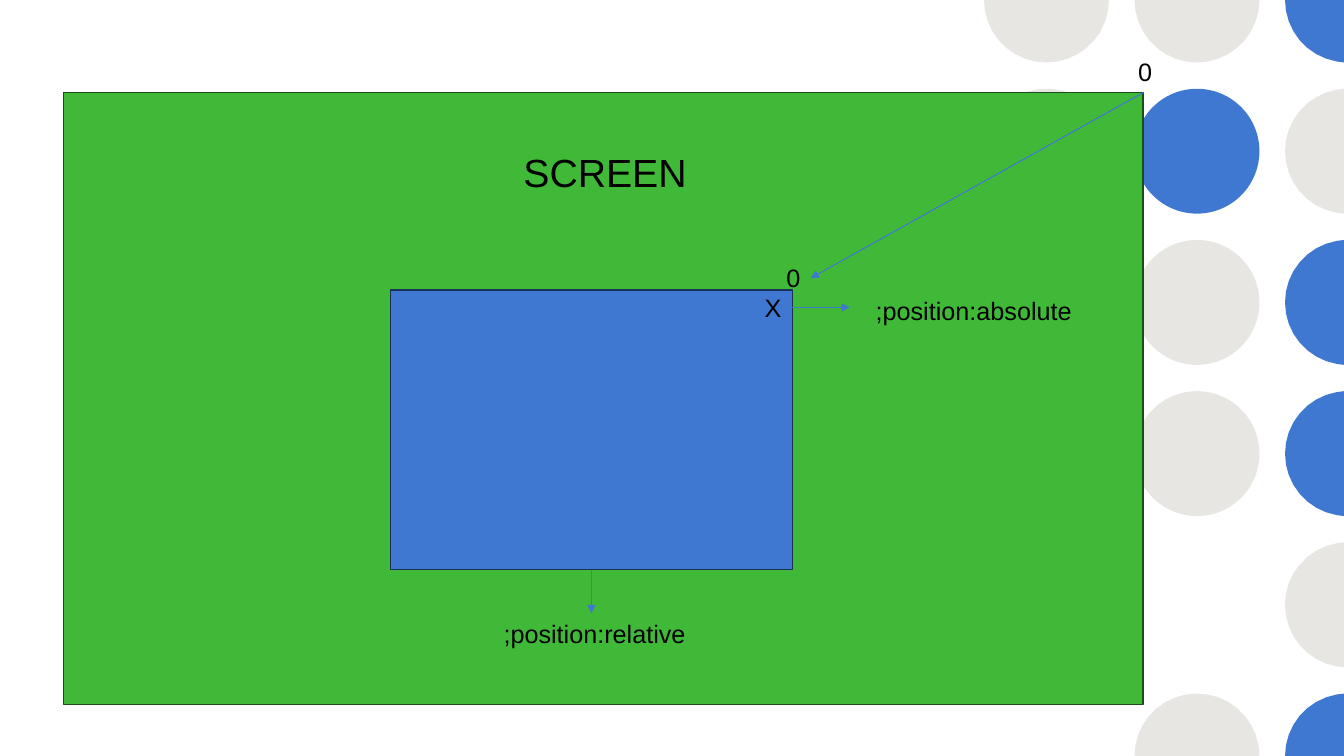
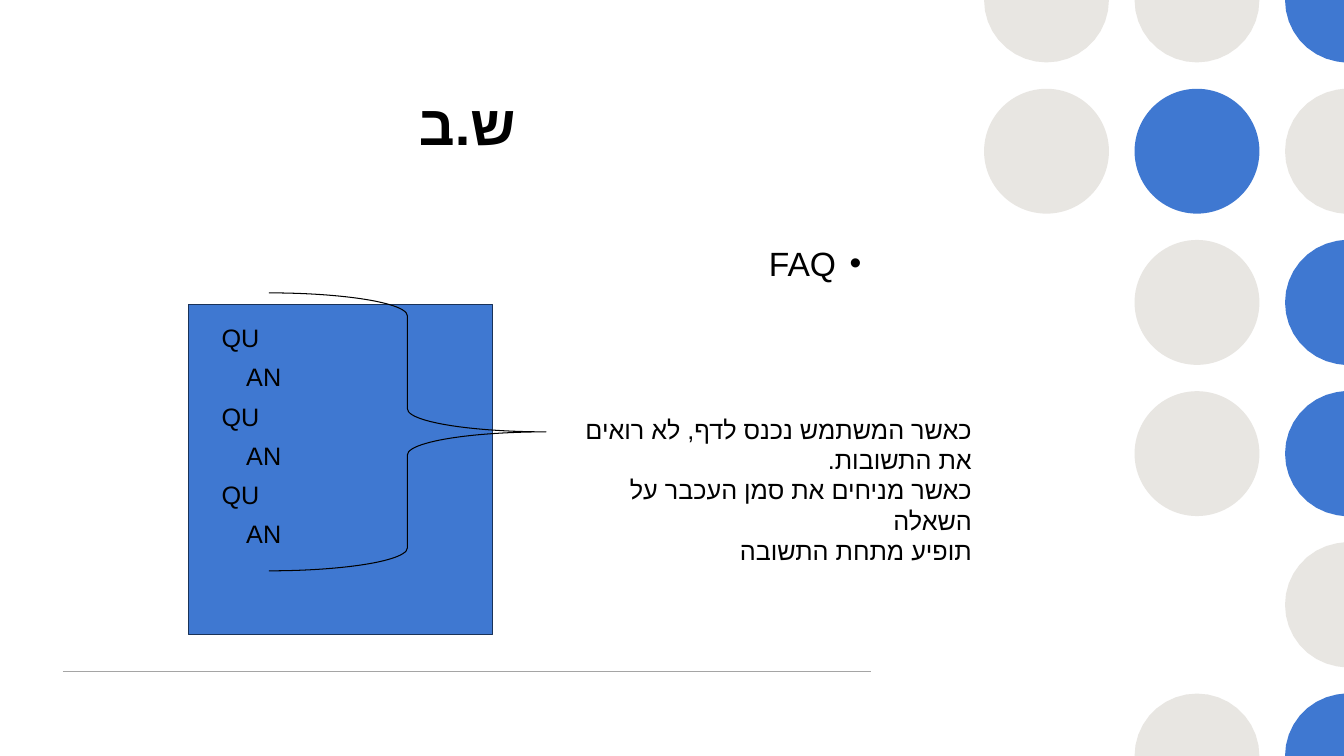
from dataclasses import dataclass
from math import cos, radians, sin

from lxml import etree
from pptx import Presentation
from pptx.dml.color import RGBColor
from pptx.enum import shapes, text
from pptx.oxml import ns
from pptx.util import Pt


@dataclass(frozen=True)
class Theme:
    font: str = "Arial"
    ink: str = "000000"
    blue: str = "3F78D1"
    blue_edge: str = "1A3258"
    green: str = "40B938"
    green_edge: str = "1B4E17"
    dot: str = "E8E6E2"
    rule: str = "A5A5A5"
    title: int = 40
    heading: int = 28
    bullet: int = 24
    label: int = 18


THEME = Theme()
WIDTH, HEIGHT = 960, 540
RADIUS = 44.6
COLUMN_CENTRES = (747.5, 855, 962.5)
ROW_PITCH = 108
# One row of dots per string: g grey, b blue, - none
DOT_ROWS = ("ggb", "gbg", "-gb", "-gb", "--g", "-gb")


def points(*lengths):
    return [Pt(length) for length in lengths]


def colour(code):
    return RGBColor.from_string(code)


def paint(shape, fill=None, edge=None, weight=1):
    shape.shadow.inherit = False
    if fill:
        shape.fill.solid()
        shape.fill.fore_color.rgb = colour(fill)
    else:
        shape.fill.background()
    if edge:
        shape.line.color.rgb = colour(edge)
        shape.line.width = Pt(weight)
    else:
        shape.line.fill.background()


def write(box, words, size, align=text.PP_ALIGN.RIGHT, rtl=True, bold=False):
    """Fill the first paragraph; the font also covers Hebrew script."""
    para = box.text_frame.paragraphs[0]
    para.text = words
    para.alignment = align
    font = para.font
    font.name, font.size, font.bold = THEME.font, Pt(size), bold
    font.color.rgb = colour(THEME.ink)
    properties = para._p.get_or_add_pPr()
    if rtl:
        properties.set("rtl", "1")
    defaults = properties.find(ns.qn("a:defRPr"))
    etree.SubElement(defaults, ns.qn("a:cs"), typeface=THEME.font)
    return para


def add_label(page, words, left, top, width, height=29, size=THEME.label):
    box = page.shapes.add_textbox(*points(left, top, width, height))
    box.text_frame.word_wrap = True
    box.text_frame.auto_size = text.MSO_AUTO_SIZE.SHAPE_TO_FIT_TEXT
    write(box, words, size)


def add_rectangle(page, left, top, width, height, fill, edge):
    box = page.shapes.add_shape(shapes.MSO_SHAPE.RECTANGLE,
                                *points(left, top, width, height))
    paint(box, fill, edge)


def add_line(page, start, end, code, weight, arrow=False):
    line = page.shapes.add_connector(shapes.MSO_CONNECTOR.STRAIGHT,
                                     *points(*start, *end))
    line.line.color.rgb = colour(code)
    line.line.width = Pt(weight)
    if arrow:
        etree.SubElement(line.line._get_or_add_ln(), ns.qn("a:tailEnd"),
                         type="triangle")
    etree.SubElement(line.element.spPr, ns.qn("a:effectLst"))
    return line


def clipped_circle(x, y):
    """Corners of a circle held inside the slide, without needless ones."""
    corners = {}
    for degree in range(0, 360, 10):
        across = round(x + RADIUS * cos(radians(degree)), 2)
        down = round(y + RADIUS * sin(radians(degree)), 2)
        corners[min(max(across, 0), WIDTH), min(max(down, 0), HEIGHT)] = None
    ring = list(corners)
    neighbours = zip(ring[-1:] + ring[:-1], ring, ring[1:] + ring[:1])
    return [points(*here) for before, here, after in neighbours
            if not any(a == b == c for a, b, c in zip(before, here, after))]


def add_dot(page, x, y, fill):
    """Draw a circle, cut off where it meets the edge of the slide."""
    inside = (RADIUS <= x <= WIDTH - RADIUS
              and RADIUS <= y <= HEIGHT - RADIUS)
    if inside:
        dot = page.shapes.add_shape(
            shapes.MSO_SHAPE.OVAL,
            *points(x - RADIUS, y - RADIUS, 2 * RADIUS, 2 * RADIUS))
    else:
        start, *others = clipped_circle(x, y)
        builder = page.shapes.build_freeform(*start)
        builder.add_line_segments(others)
        dot = builder.convert_to_shape()
    paint(dot, fill)
    return dot


def decorate_master(deck, page):
    """Draw the shared dots and rule on a page, then move them to the master."""
    fills = {"g": THEME.dot, "b": THEME.blue}
    decor = [add_dot(page, x, row * ROW_PITCH, fills[key])
             for row, keys in enumerate(DOT_ROWS)
             for x, key in zip(COLUMN_CENTRES, keys) if key in fills]
    decor.append(add_line(page, (45, 479.5), (622, 479.5), THEME.rule, 1))
    for shape in decor:
        deck.slide_master.shapes.element.append(shape.element)


def fill_position_page(page):
    add_rectangle(page, 45.2, 66.2, 771.3, 437, THEME.green, THEME.green_edge)
    add_rectangle(page, 279, 207.2, 287, 199.6, THEME.blue, THEME.blue_edge)
    add_label(page, "X", 545, 205.2, 20.2)
    add_label(page, "0", 552.2, 184, 26.6)
    add_label(page, "position:relative;", 345.6, 438, 151.2)
    add_label(page, "position:absolute;", 610.6, 207.4, 162)
    add_label(page, "0", 802, 36.7, 28)
    add_label(page, "SCREEN", 364.3, 102.2, 133.2, 41, THEME.heading)
    for start, end in (((422.5, 406.8), (422.5, 438)),
                       ((566, 219.6), (607, 219.6)),
                       ((816.5, 66.2), (579, 198.7))):
        add_line(page, start, end, THEME.blue, 0.75, arrow=True)


def place(holder, left, top, width, height):
    holder.left, holder.top, holder.width, holder.height = points(
        left, top, width, height)
    holder.text_frame.vertical_anchor = text.MSO_ANCHOR.TOP


def fill_homework_page(page):
    title, body = page.shapes.title, page.placeholders[1]
    place(title, 45, 60.5, 577.4, 100)
    write(title, "ש.ב", THEME.title, text.PP_ALIGN.CENTER, False, True)
    place(body, 45, 170, 577.4, 283.7)
    bullet = write(body, "FAQ", THEME.bullet)
    indent = Pt(18)
    bullet._p.pPr.set("marL", str(indent))
    bullet._p.pPr.set("indent", str(-indent))

    add_rectangle(page, 134.5, 217.4, 217.5, 236, THEME.blue, THEME.blue_edge)
    for row in range(6):
        words, left, width = (("QU", 149.8, 42.5), ("AN", 167, 41))[row % 2]
        add_label(page, words, left, 226.8 + 28 * row, width)

    brace = page.shapes.add_shape(shapes.MSO_SHAPE.LEFT_BRACE,
                                  *points(192, 209.2, 198, 198.5))
    brace.rotation = 180
    brace.adjustments[0], brace.adjustments[1] = 0.083, 0.5
    paint(brace, edge=THEME.ink, weight=0.75)
    add_label(page, "כאשר המשתמש נכנס לדף, לא רואים\n"
                    "את התשובות.\n"
                    "כאשר מניחים את סמן העכבר על השאלה\n"
                    "תופיע מתחת התשובה", 400.3, 292.3, 301, 94.3)


def main():
    deck = Presentation()
    deck.slide_width, deck.slide_height = points(WIDTH, HEIGHT)
    title_and_content, blank = deck.slide_layouts[1], deck.slide_layouts[6]
    position_page = deck.slides.add_slide(blank)
    decorate_master(deck, position_page)
    fill_position_page(position_page)
    fill_homework_page(deck.slides.add_slide(title_and_content))
    deck.save("out.pptx")


if __name__ == "__main__":
    main()
